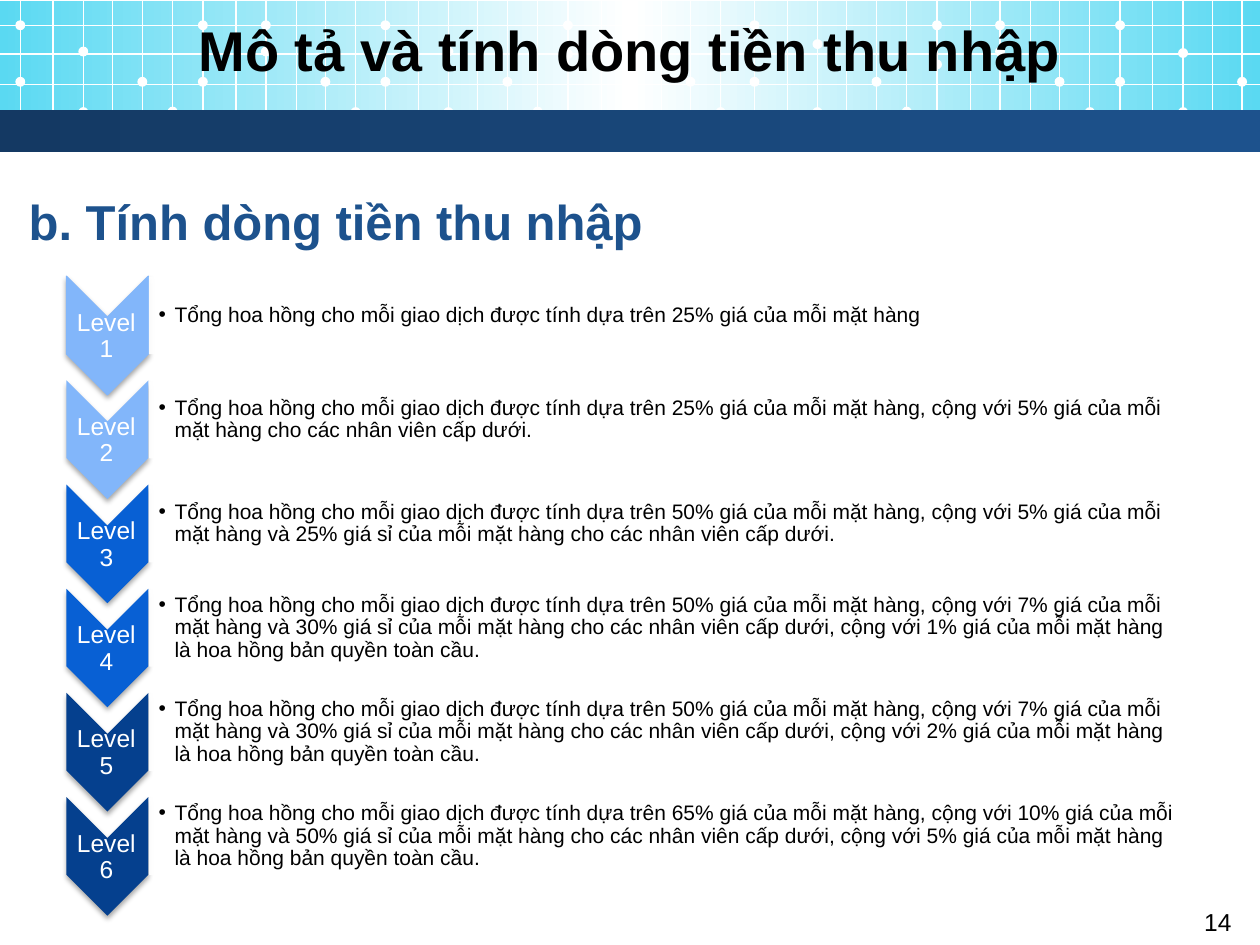
from dataclasses import dataclass
from typing import Any

from lxml import etree
from pptx import Presentation
from pptx import util as u
from pptx.dml.color import RGBColor
from pptx.enum import shapes, text
from pptx.oxml.ns import qn

WHITE, BLACK, NAVY = "FFFFFF", "000000", "1D528D"
SHAPE = shapes.MSO_SHAPE


@dataclass
class Box:
    """Left, top, width and height in centimetres."""
    left: float
    top: float
    width: float
    height: float

    def emu(self) -> list[int]:
        return [u.Cm(v) for v in (self.left, self.top, self.width, self.height)]

    def down(self, distance: float) -> "Box":
        return Box(self.left, self.top + distance, self.width, self.height)


@dataclass
class Level:
    color: str
    commission: str


BASE = "Tổng hoa hồng cho mỗi giao dịch được tính dựa trên "
ITEM = " giá của mỗi mặt hàng"
STAFF = " giá sỉ của mỗi mặt hàng cho các nhân viên cấp dưới"
GLOBAL = ITEM + " là hoa hồng bản quyền toàn cầu."
LEVELS = [
    Level("82B6FA", f"{BASE}25%{ITEM}"),
    Level("82B6FA", f"{BASE}25%{ITEM}, cộng với 5%{ITEM} cho các nhân viên cấp dưới."),
    Level("0860D4", f"{BASE}50%{ITEM}, cộng với 5%{ITEM} và 25%{STAFF}."),
    Level("0860D4", f"{BASE}50%{ITEM}, cộng với 7%{ITEM} và 30%{STAFF}, cộng với 1%{GLOBAL}"),
    Level("05408E", f"{BASE}50%{ITEM}, cộng với 7%{ITEM} và 30%{STAFF}, cộng với 2%{GLOBAL}"),
    Level("05408E", f"{BASE}65%{ITEM}, cộng với 10%{ITEM} và 50%{STAFF}, cộng với 5%{GLOBAL}"),
]
LEVEL_PITCH = 2.1

# Banner lattice: the columns repeat in four sections
SECTIONS = [0.41, 7.77, 15.21, 22.58]
COLUMNS = [0, 0.66, 1.27, 1.86, 2.46, 3.07, 3.68, 4.35, 4.95, 5.56, 6.15, 6.76]
ROWS = [0.51, 1.09, 1.7, 2.26]
DOTS = [(0, 1.65), (0, 0.51), (2, 2.26), (4, 1.65), (5, 2.25),
        (6, 0.51), (8, 1.04), (8, 0.51), (10, 1.65), (11, 2.26)]
SHIFTING_DOTS = [[(2, 1.04), (6, 1.65)], [(2, 1.04), (6, 1.09)],
                 [(2, 0.89), (6, 1.3)], [(2, 1.07)]]
DOT_SIZE = 0.2
SLIDE_WIDTH, SLIDE_HEIGHT = 25.4, 19.05


def rgb(value: str) -> RGBColor:
    return RGBColor.from_string(value)


def apply(target: Any, values: dict) -> None:
    for name, value in values.items():
        setattr(target, name, value)


def add_xml(parent: Any, tag: str, **attributes: Any) -> Any:
    return etree.SubElement(parent, qn(tag), {k: str(v) for k, v in attributes.items()})


def add_block(slide: Any, kind: Any, box: Box, color: str = "", rotation: int = 0) -> Any:
    block = slide.shapes.add_shape(kind, *box.emu())
    block.shadow.inherit = False
    block.line.fill.background()
    block.rotation = rotation
    if color:
        block.fill.solid()
        block.fill.fore_color.rgb = rgb(color)
    return block


def add_gradient_band(slide: Any, box: Box, colors: list[str]) -> None:
    band = add_block(slide, SHAPE.RECTANGLE, box)
    band.fill.gradient()
    band.fill.gradient_angle = 0
    stops = band.element.spPr.find(qn("a:gradFill")).find(qn("a:gsLst"))
    for stop in list(stops):
        stops.remove(stop)
    for i, color in enumerate(colors):
        stop = add_xml(stops, "a:gs", pos=100000 * i // (len(colors) - 1))
        add_xml(stop, "a:srgbClr", val=color)


def add_grid_line(slide: Any, x1: float, y1: float, x2: float, y2: float) -> None:
    line = slide.shapes.add_connector(
        shapes.MSO_CONNECTOR.STRAIGHT, *[u.Cm(v) for v in (x1, y1, x2, y2)])
    line.line.color.rgb = rgb(WHITE)
    line.line.width = u.Pt(0.75)
    add_xml(line.element.spPr, "a:effectLst")


def add_text(slide: Any, box: Box, words: str, size: int, color: str = BLACK,
             bold: bool = False, bullet: bool = False,
             frame: dict | None = None, paragraph: dict | None = None) -> None:
    text_frame = slide.shapes.add_textbox(*box.emu()).text_frame
    apply(text_frame, {"word_wrap": True, **(frame or {})})
    line = text_frame.paragraphs[0]
    line.text = words
    if bullet:
        properties = line._p.get_or_add_pPr()
        apply_indent = {"marL": u.Cm(0.32), "indent": -u.Cm(0.32)}
        for name, value in apply_indent.items():
            properties.set(name, str(value))
        add_xml(add_xml(properties, "a:buClr"), "a:srgbClr", val=BLACK)
        add_xml(properties, "a:buFont", typeface="Arial")
        add_xml(properties, "a:buChar", char="•")
    apply(line, paragraph or {})
    font = line.runs[0].font
    apply(font, {"name": "Arial", "size": u.Pt(size), "bold": bold})
    font.color.rgb = rgb(color)


def add_banner(slide: Any) -> None:
    add_gradient_band(slide, Box(0, 0.02, SLIDE_WIDTH, 2.6), ["5AD9F2", WHITE, "5AD9F2"])
    for start, shifting in zip(SECTIONS, SHIFTING_DOTS):
        columns = [start + c for c in COLUMNS if start + c < SLIDE_WIDTH]
        for column, y in DOTS + shifting:
            if column < len(columns):
                dot = Box(columns[column] - DOT_SIZE / 2, y - DOT_SIZE / 2, DOT_SIZE, DOT_SIZE)
                add_block(slide, SHAPE.OVAL, dot, WHITE)
        for x in columns:
            add_grid_line(slide, x, 0, x, 2.79)
    for y in ROWS:
        add_grid_line(slide, 0, y, SLIDE_WIDTH, y)
    add_gradient_band(slide, Box(0, 2.22, SLIDE_WIDTH, 0.84), ["143963", NAVY])


def add_level(slide: Any, index: int, level: Level) -> None:
    offset = index * LEVEL_PITCH
    tight = {name: u.Cm(0.03) for name in
             ("margin_left", "margin_top", "margin_right", "margin_bottom")}
    tight["vertical_anchor"] = text.MSO_ANCHOR.MIDDLE

    # Chevron with its soft shadow
    chevron = add_block(slide, SHAPE.CHEVRON, Box(0.97, 5.94, 2.39, 1.65).down(offset),
                        level.color, 90)
    if index == 0:
        chevron.line.color.rgb = rgb(level.color)
        chevron.line.width = u.Pt(0.75)
    effects = chevron.element.spPr.find(qn("a:effectLst"))
    shadow = add_xml(effects, "a:outerShdw", blurRad=u.Pt(3.1), dist=u.Pt(1.8),
                     dir=5400000, rotWithShape=0)
    add_xml(add_xml(shadow, "a:srgbClr", val=BLACK), "a:alpha", val=35000)
    add_text(slide, Box(1.32, 6.43, 1.65, 0.71).down(offset), f"Level {index + 1}", 14, WHITE,
             frame={**tight, "word_wrap": False},
             paragraph={"alignment": text.PP_ALIGN.CENTER, "line_spacing": 0.9})

    # Commission panel
    panel = add_block(slide, SHAPE.ROUND_2_SAME_RECTANGLE,
                      Box(12.73, -4.14, 1.55, 21.01).down(offset), WHITE, 90)
    fill_color = panel.element.spPr.find(qn("a:solidFill"))[0]
    add_xml(fill_color, "a:alpha", val=90000)
    add_text(slide, Box(2.97, 5.66, 20.93, 1.4).down(offset), level.commission, 12,
             bullet=True, frame={**tight, "margin_left": u.Cm(0.23)},
             paragraph={"line_spacing": 0.9})


def main() -> None:
    deck = Presentation()
    apply(deck, {"slide_width": u.Cm(SLIDE_WIDTH), "slide_height": u.Cm(SLIDE_HEIGHT)})
    slide = deck.slides.add_slide(deck.slide_layouts[6])
    centred = {"alignment": text.PP_ALIGN.CENTER}

    # Banner, page number and headings
    add_banner(slide)
    add_text(slide, Box(23.7, 18.16, 1.7, 0.89), "14", 14, paragraph=centred)
    add_text(slide, Box(0, 0.2, SLIDE_WIDTH, 1.57), "Mô tả và tính dòng tiền thu nhập", 32,
             bold=True, frame={"vertical_anchor": text.MSO_ANCHOR.MIDDLE}, paragraph=centred)
    add_text(slide, Box(0.33, 3.73, 14.86, 1.45), "b. Tính dòng tiền thu nhập", 28, NAVY,
             bold=True)

    # Commission levels
    for index, level in enumerate(LEVELS):
        add_level(slide, index, level)

    deck.save("out.pptx")


if __name__ == "__main__":
    main()
